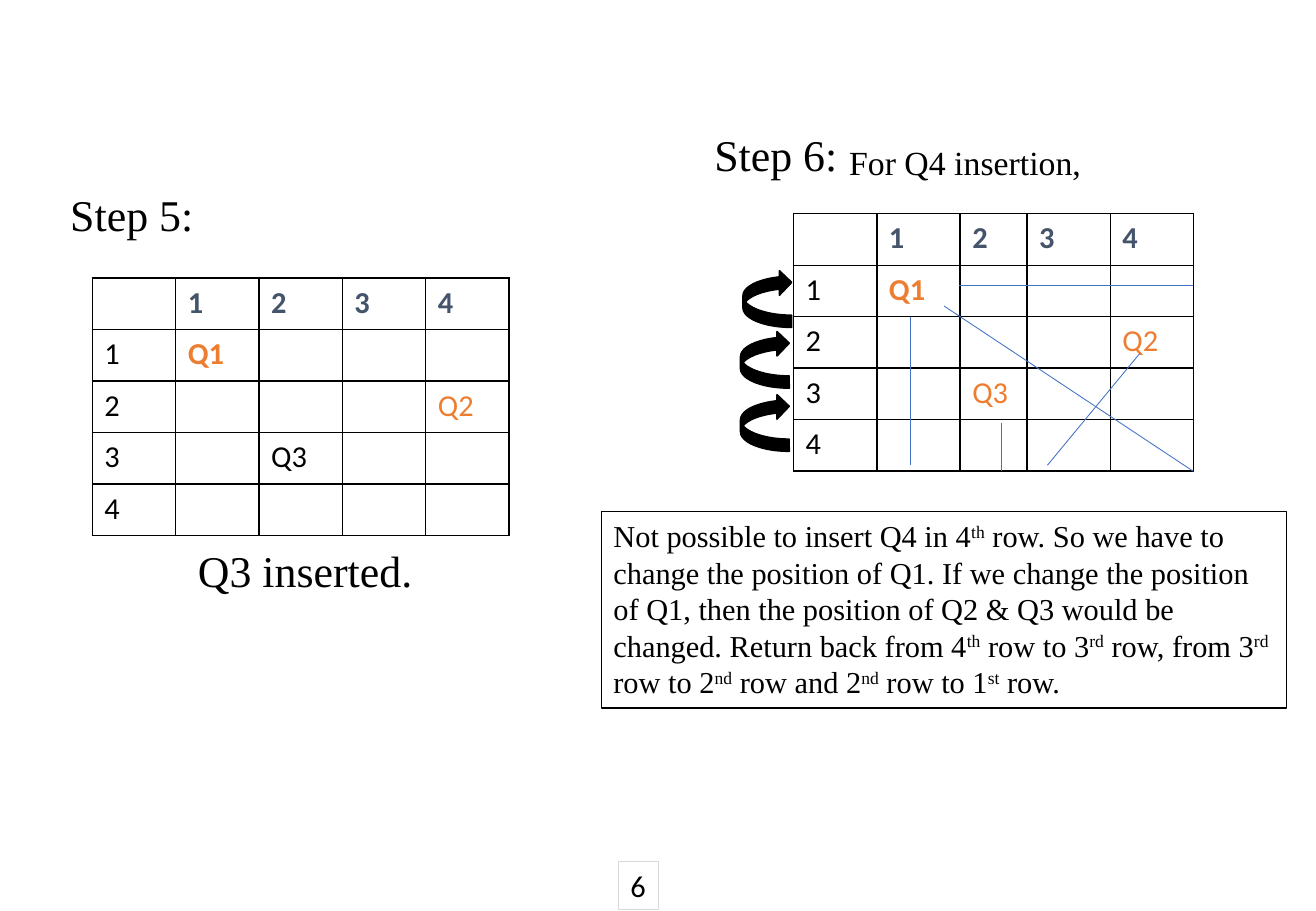
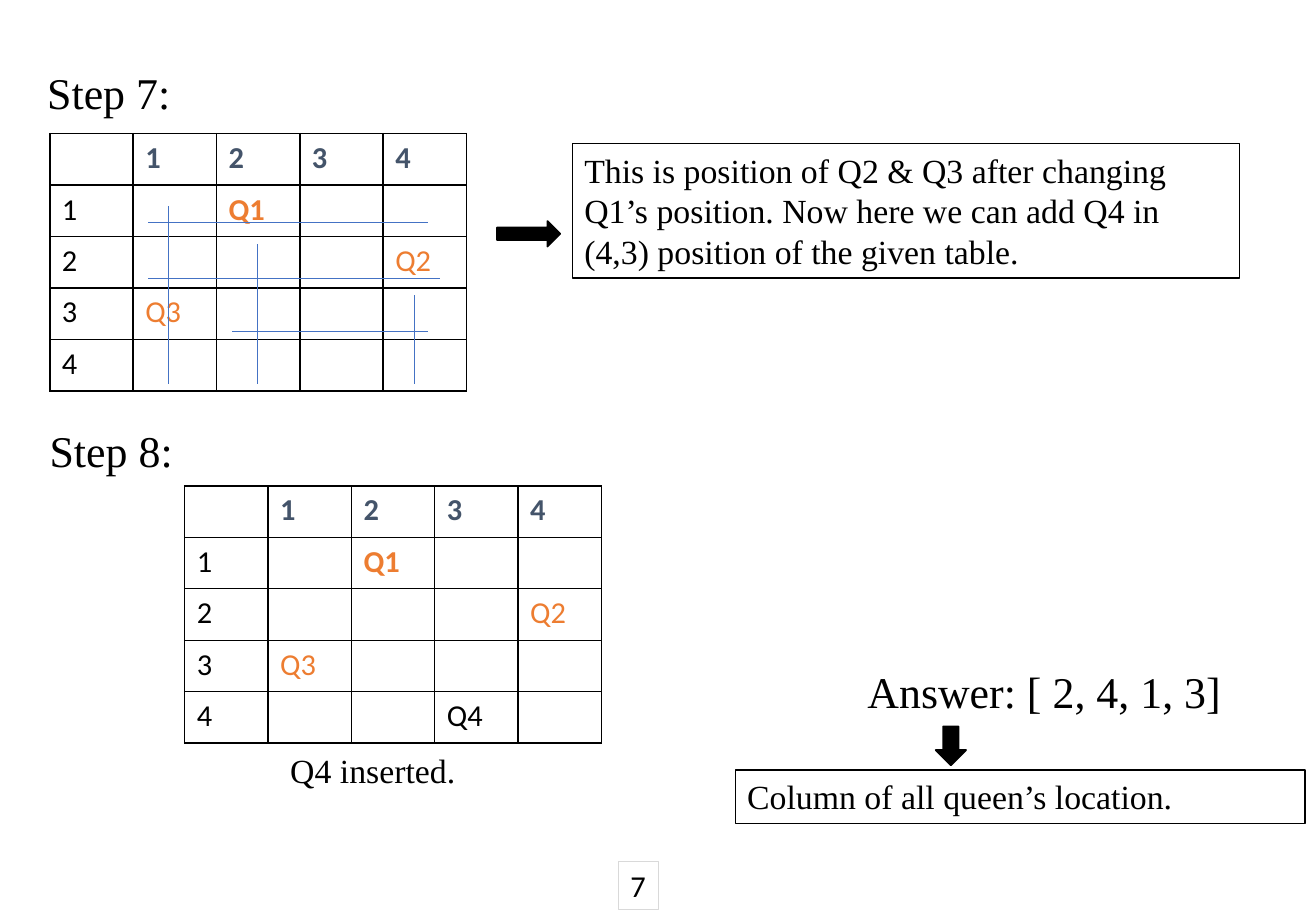
import lxml.etree
import pptx
import pptx.dml.color
import pptx.enum.shapes
import pptx.enum.text
import pptx.oxml.ns
import pptx.util

COLORS = {
    "ink": "000000",
    "paper": "FFFFFF",
    "heading": "44546A",
    "queen": "ED7D31",
    "attack": "4472C4",
    "frame": "D9D9D9",
}
MODULE = 0.1
SLIDE_COLUMNS, SLIDE_ROWS = 108.3, 75
SERIF, SANS = "Times New Roman", "Calibri"
TITLE, NOTE, BODY = 26, 20, 18
CELL_WIDTH, CELL_HEIGHT = 6.86, 4.24
EVEN_COLUMNS = (CELL_WIDTH,) * 5
ARROWS = pptx.enum.shapes.MSO_SHAPE


def grid(modules):
    return pptx.util.Inches(modules * MODULE)


def color(name):
    return pptx.dml.color.RGBColor.from_string(COLORS[name])


class Deck:
    """Draws queen boards, notes and arrows on a grid of tenth-inch modules."""

    def __init__(self):
        self.presentation = pptx.Presentation()
        self.presentation.slide_width = grid(SLIDE_COLUMNS)
        self.presentation.slide_height = grid(SLIDE_ROWS)

    def new_slide(self, number):
        blank = self.presentation.slide_layouts[6]
        self.shapes = self.presentation.slides.add_slide(blank).shapes
        self.text(50.9, 70.9, 3.3, 4, str(number), BODY, SANS, "frame")

    def add_words(self, paragraph, words, size, font=SERIF, ink="ink", bold=False):
        run = paragraph.add_run()
        run.text = words
        run.font.size = pptx.util.Pt(size)
        run.font.name = font
        run.font.bold = bold
        run.font.color.rgb = color(ink)
        return run

    def text(self, left, top, width, height, words, size, font=SERIF, frame=None):
        box = self.shapes.add_textbox(*map(grid, (left, top, width, height)))
        box.text_frame.word_wrap = True
        box.text_frame.auto_size = pptx.enum.text.MSO_AUTO_SIZE.SHAPE_TO_FIT_TEXT
        if frame:
            box.line.color.rgb = color(frame)
            box.line.width = pptx.util.Pt(0.75)
        for index, part in enumerate(words.split("^")):
            run = self.add_words(box.text_frame.paragraphs[0], part, size, font)
            if index % 2:
                run.font._element.set("baseline", "30000")

    def board(self, left, top, queens, newest=None, columns=EVEN_COLUMNS):
        area = (left, top, sum(columns), 5 * CELL_HEIGHT)
        table = self.shapes.add_table(5, 5, *map(grid, area)).table
        for column, width in zip(table.columns, columns):
            column.width = grid(width)
        for row_number, row in enumerate(table.rows):
            row.height = grid(CELL_HEIGHT)
            for column_number, cell in enumerate(row.cells):
                self.outline(cell)
                cell.fill.solid()
                cell.fill.fore_color.rgb = color("paper")
                paragraph = cell.text_frame.paragraphs[0]
                if row_number == 0 and column_number:
                    self.add_words(paragraph, str(column_number), BODY, SANS, "heading", True)
                elif row_number and column_number == 0:
                    self.add_words(paragraph, str(row_number), BODY, SANS)
                elif 0 < row_number <= len(queens) and queens[row_number - 1] == column_number:
                    ink = "ink" if row_number == newest else "queen"
                    self.add_words(paragraph, f"Q{row_number}", BODY, SANS, ink, row_number == 1)

    def outline(self, cell):
        qn = pptx.oxml.ns.qn
        properties = cell._tc.get_or_add_tcPr()
        for side in ("lnL", "lnR", "lnT", "lnB"):
            edge = lxml.etree.SubElement(properties, qn(f"a:{side}"), w="12700")
            fill = lxml.etree.SubElement(edge, qn("a:solidFill"))
            lxml.etree.SubElement(fill, qn("a:srgbClr"), val=COLORS["ink"])

    def attack(self, *ends):
        straight = pptx.enum.shapes.MSO_CONNECTOR.STRAIGHT
        line = self.shapes.add_connector(straight, *map(grid, ends))
        line.line.color.rgb = color("attack")
        line.line.width = pptx.util.Pt(0.5)
        lxml.etree.SubElement(line._element.spPr, pptx.oxml.ns.qn("a:effectLst"))

    def arrow(self, kind, left, top, width, height, rotation=0):
        arrow = self.shapes.add_shape(kind, *map(grid, (left, top, width, height)))
        arrow.shadow.inherit = False
        arrow.rotation = rotation
        arrow.fill.solid()
        arrow.fill.fore_color.rgb = color("ink")
        arrow.line.color.rgb = color("ink")
        arrow.line.width = pptx.util.Pt(1)


def backtrack_slide(deck):
    deck.new_slide(6)
    deck.text(4.8, 15, 12.3, 5.4, "Step 5:", TITLE)
    deck.board(7.6, 22.9, [1, 4, 2], newest=3)
    deck.text(15.3, 44.3, 19.8, 5.4, "Q3 inserted.", TITLE)

    deck.text(57.8, 10, 12.3, 5.4, "Step 6:", TITLE)
    deck.text(68.9, 11.2, 27, 4.4, "For Q4 insertion,", NOTE)
    narrow_third = (CELL_WIDTH, CELL_WIDTH, 5.5, CELL_WIDTH, CELL_WIDTH)
    deck.board(65.3, 17.6, [1, 4, 2], columns=narrow_third)
    for ends in (
        (77.7, 25.2, 98.2, 38.8),
        (74.9, 26.1, 74.9, 38.3),
        (78.9, 23.5, 98.2, 23.5),
        (82.4, 34.8, 82.4, 38.8),
        (93.8, 29.1, 86.2, 38.3),
    ):
        deck.attack(*ends)
    for left, top in ((60.6, 32.8), (60.6, 27.6), (60.8, 22.6)):
        deck.arrow(ARROWS.CURVED_DOWN_ARROW, left, top, 4.7, 4, rotation=270)
    deck.text(
        49.5, 42.1, 56.4, 16.2,
        "Not possible to insert Q4 in 4^th^ row. So we have to change the position "
        "of Q1. If we change the position of Q1, then the position of Q2 & Q3 would "
        "be changed. Return back from 4^th^ row to 3^rd^ row, from 3^rd^ row to "
        "2^nd^ row and 2^nd^ row to 1^st^ row.",
        BODY, frame="ink",
    )


def answer_slide(deck):
    deck.new_slide(7)
    deck.text(2.9, 4.9, 12.3, 5.4, "Step 7:", TITLE)
    deck.board(4.1, 11, [2, 4, 1])
    for left, right, level in ((12.2, 35.2, 18.3), (12.2, 36.2, 22.9), (19.1, 35.2, 27.3)):
        deck.attack(left, level, right, level)
    for across, top in ((13.9, 17), (21.2, 20.1), (34.1, 24.3)):
        deck.attack(across, top, across, 31.6)
    deck.arrow(ARROWS.RIGHT_ARROW, 40.9, 18.2, 5.2, 2.1)
    deck.text(
        47.1, 11.8, 54.9, 11.1,
        "This is position of Q2 & Q3 after changing Q1’s position. Now here we can "
        "add Q4 in (4,3) position of the given table.",
        NOTE, frame="ink",
    )

    deck.text(3.1, 34.4, 22.4, 5.4, "Step 8:", TITLE)
    deck.board(15.2, 40, [2, 4, 1, 3], newest=4)
    deck.text(22.9, 61.2, 19.8, 4.4, "Q4 inserted.", NOTE)
    deck.text(70.4, 54.2, 31.4, 5.4, "Answer: [ 2, 4, 1, 3]", TITLE)
    deck.arrow(ARROWS.DOWN_ARROW, 77, 59.8, 2.5, 3.2)
    deck.text(60.5, 63.4, 46.9, 4.4, "Column of all queen’s location.", NOTE, frame="ink")


def main():
    deck = Deck()
    backtrack_slide(deck)
    answer_slide(deck)
    deck.presentation.save("out.pptx")


if __name__ == "__main__":
    main()
